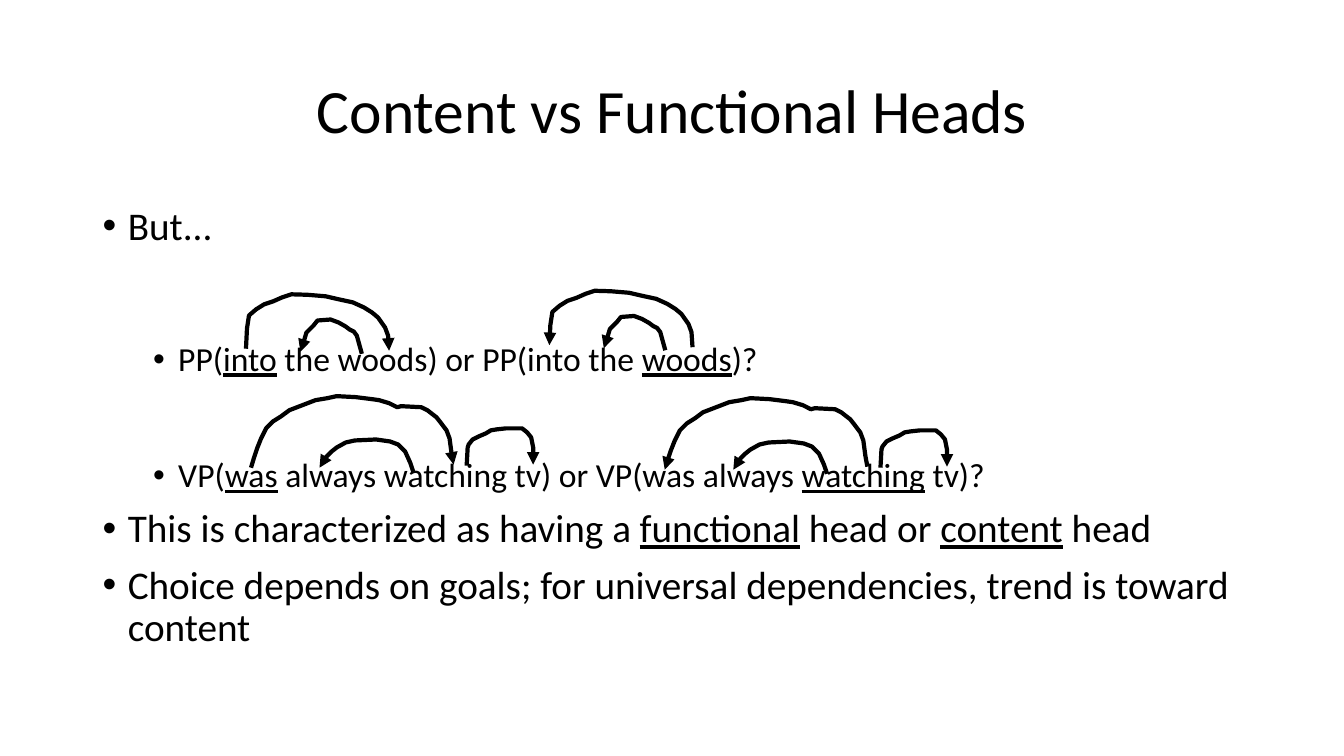
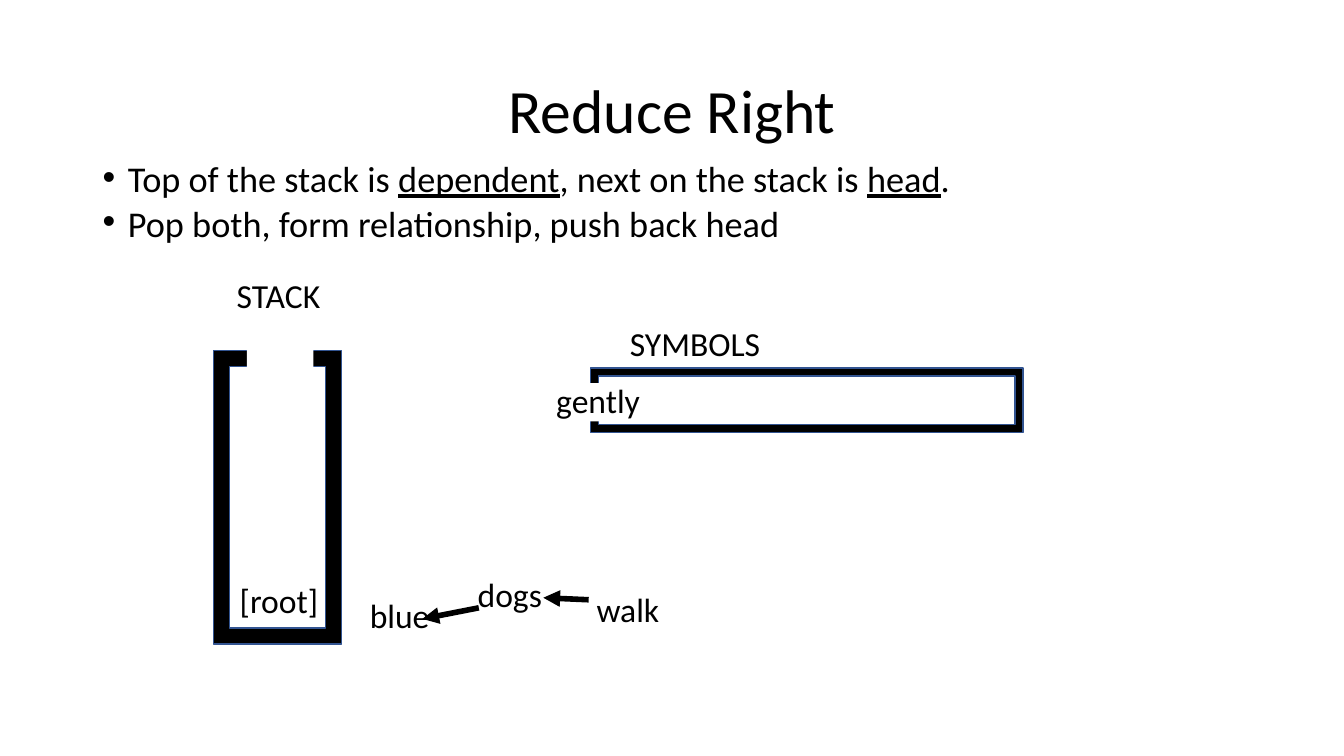
import pptx
import pptx.dml.color
import pptx.enum.shapes
import pptx.enum.text
import pptx.oxml
import pptx.oxml.ns
import pptx.util

SHAPE = pptx.enum.shapes.MSO_SHAPE
ALIGN = pptx.enum.text.PP_ALIGN
ANCHOR = pptx.enum.text.MSO_ANCHOR
FIT = pptx.enum.text.MSO_AUTO_SIZE
NAMESPACE = pptx.oxml.ns.nsdecls("a")

INK, PAPER, EDGE = "000000", "FFFFFF", "325491"

# Arcs above the example phrases, as points on the grid
PP_LONG = [(24.4, 34.6), (24.5, 32.6), (24.7, 31.3), (25.4, 30.7), (26.2, 30.2),
           (27.1, 29.9), (28, 29.5), (28.9, 29.2), (30.5, 29.25), (32.3, 29.4),
           (33.6, 29.7), (35, 30), (36.1, 30.5), (36.9, 31), (37.5, 31.5),
           (38.2, 32.5), (38.5, 33.3), (38.6, 34.8)]
PP_SHORT = [(35.9, 35.1), (35.4, 33.3), (35.1, 32.9), (34.7, 32.7), (34.3, 32.4),
            (33.6, 32), (32.8, 31.7), (31.5, 31.8), (31.1, 32.3), (30.4, 33),
            (30.1, 34), (29.8, 34.9)]
VP_RIGHT = [(46.3, 46.2), (46.4, 44.4), (46.5, 44.1), (46.9, 43.6), (47.5, 43.3),
            (48.2, 43), (48.7, 42.7), (49.3, 42.6), (50.2, 42.5), (51.8, 42.5),
            (52.3, 42.9), (52.7, 43.4), (52.9, 44.4), (52.9, 46.1)]
VP_LONG = [(24.9, 46.4), (25.2, 45.4), (25.5, 44.5), (25.9, 43.5), (26.4, 42.5),
           (27.1, 41.8), (27.9, 41.3), (28.7, 40.7), (30, 40.2), (31.3, 39.7),
           (32.5, 39.5), (33.4, 39.3), (35.3, 39.4), (36.9, 39.6), (37.6, 39.7),
           (38.6, 40), (39.4, 40.4), (39.8, 40.3), (41.8, 40.4), (42.4, 40.7),
           (43.3, 41.4), (43.7, 41.9), (44.3, 42.7), (44.6, 43.5), (44.8, 45),
           (45, 46.1)]
VP_LEFT = [(41, 46.8), (40.7, 45.9), (40.2, 44.8), (39.5, 44.1), (38.7, 43.8),
           (37.3, 43.6), (35.2, 43.7), (34.3, 43.9), (33.4, 44.4), (32.9, 44.8),
           (32.3, 45.4), (31.8, 46), (31.7, 46.4)]


def color(code):
    return pptx.dml.color.RGBColor.from_string(code)


def cells(count):
    """Length of a number of grid cells, each a tenth of an inch."""
    return pptx.util.Inches(count / 10)


def apply(target, values):
    for name, value in values.items():
        setattr(target, name, value)


class Deck:
    """Shared style and the current page; lengths are grid columns and rows."""

    title_place = (9.2, 4, 115, 14.5)
    title_format = {"alignment": ALIGN.CENTER, "line_spacing": 0.9, "space_before": pptx.util.Pt(0)}

    def __init__(self):
        self.file = pptx.Presentation()
        apply(self.file, {"slide_width": cells(133.33), "slide_height": cells(75)})
        self.page = None

    def add_text(self, para, text, size):
        """Fill a paragraph; words between underscores are underlined."""
        for index, part in enumerate(text.split("_")):
            if part:
                span = para.add_run()
                span.text = part
                apply(span.font, {"name": "Calibri", "size": pptx.util.Pt(size), "underline": index % 2 == 1})
                span.font.color.rgb = color(INK)

    def add_page(self, title):
        self.page = self.file.slides.add_slide(self.file.slide_layouts[5])
        box = self.page.shapes.title
        apply(box, dict(zip(("left", "top", "width", "height"), map(cells, self.title_place))))
        apply(box.text_frame, {"vertical_anchor": ANCHOR.MIDDLE, "word_wrap": True, "auto_size": FIT.NONE})
        para = box.text_frame.paragraphs[0]
        apply(para, self.title_format)
        self.add_text(para, title, 44)

    def bullets(self, place, items, line_spacing):
        """Items are (level, size, space before, text)."""
        frame = self.page.shapes.add_textbox(*map(cells, place)).text_frame
        frame.word_wrap = True
        for index, (level, size, before, text) in enumerate(items):
            para = frame.add_paragraph() if index else frame.paragraphs[0]
            apply(para, {"level": level, "line_spacing": line_spacing, "space_before": pptx.util.Pt(before)})
            properties = para._p.get_or_add_pPr()
            properties.set("marL", str(cells(2.5 + 5 * level)))
            properties.set("indent", str(cells(-2.5)))
            for mark in ('buFont {} typeface="Arial"', 'buChar {} char="•"'):
                properties.append(pptx.oxml.parse_xml("<a:" + mark.format(NAMESPACE) + "/>"))
            self.add_text(para, text, size)

    def label(self, place, text):
        frame = self.page.shapes.add_textbox(*map(cells, place)).text_frame
        apply(frame, {"word_wrap": False, "auto_size": FIT.SHAPE_TO_FIT_TEXT})
        self.add_text(frame.paragraphs[0], text, 24)

    def shape(self, kind, place, fill, edge=None):
        box = self.page.shapes.add_shape(kind, *map(cells, place))
        box.shadow.inherit = False
        box.fill.solid()
        box.fill.fore_color.rgb = color(fill)
        if edge:
            self.stroke(box, edge, 1)
        else:
            box.line.fill.background()

    def stroke(self, box, code, width, end=None):
        box.line.color.rgb = color(code)
        box.line.width = pptx.util.Pt(width)
        if end:
            for mark in ("round {}", end + ' {} type="triangle"'):
                box.line._ln.append(pptx.oxml.parse_xml("<a:" + mark.format(NAMESPACE) + "/>"))

    def arc(self, points, shift, end="tailEnd"):
        start, *rest = [(cells(x + shift[0]), cells(y + shift[1])) for x, y in points]
        builder = self.page.shapes.build_freeform(*start)
        builder.add_line_segments(rest, close=False)
        curve = builder.convert_to_shape()
        curve.shadow.inherit = False
        curve.fill.background()
        self.stroke(curve, INK, 3, end)

    def arrow(self, *ends):
        straight = pptx.enum.shapes.MSO_CONNECTOR.STRAIGHT
        line = self.page.shapes.add_connector(straight, *map(cells, ends))
        self.stroke(line, INK, 4, "tailEnd")
        line._element.spPr.append(pptx.oxml.parse_xml(f"<a:effectLst {NAMESPACE}/>"))


def heads_page(deck):
    deck.add_page("Content vs Functional Heads")
    deck.bullets((9.2, 20, 115, 47.6), [
        (0, 28, 0, "But..."),
        (1, 24, 67, "PP(_into_ the woods) or PP(into the _woods_)?"),
        (1, 24, 57, "VP(_was_ always watching tv) or VP(was always _watching_ tv)?"),
        (0, 28, 10, "This is characterized as having a _functional_ head or _content_ head"),
        (0, 28, 10, "Choice depends on goals; for universal dependencies, trend is toward content"),
    ], 0.9)
    # Each phrase has two readings; in the second the long arc is turned round
    for long_arc, short_arcs, shift in ((PP_LONG, [PP_SHORT], (30.1, -0.35)),
                                        (VP_LONG, [VP_RIGHT, VP_LEFT], (41.05, 0.2))):
        for offset, end in (((0, 0), "tailEnd"), (shift, "headEnd")):
            deck.arc(long_arc, offset, end)
            for points in short_arcs:
                deck.arc(points, offset)


def reduce_page(deck):
    deck.add_page("Reduce Right")
    deck.bullets((9.2, 16.2, 115, 9.3), [
        (0, 25.9, 0, "Top of the stack is _dependent_, next on the stack is _head_."),
        (0, 25.9, 10, "Pop both, form relationship, push back head"),
    ], 0.7)
    # Frames, each opened by a white patch
    for frame, patch in (((21.2, 34.8, 12.7, 29.1), (24.5, 32.2, 6.6, 10.9)),
                         ((58.6, 36.5, 42.9, 6.4), (45.3, 38, 15.8, 3.8))):
        deck.shape(SHAPE.FRAME, frame, INK, EDGE)
        deck.shape(SHAPE.RECTANGLE, patch, PAPER)
    # Words on the stack, in the buffer and in the tree
    for text, left, top, width in (("STACK", 22.5, 26.8, 10.4), ("SYMBOLS", 61.5, 31.5, 15.1),
                                   ("gently", 54.2, 37.2, 10.4), ("[root]", 22.8, 57, 9.9),
                                   ("walk", 58.2, 57.9, 8.3), ("blue", 35.7, 58.5, 8),
                                   ("dogs", 46.4, 56.4, 8.5)):
        deck.label((left, top, width, 5), text)
    deck.arrow(58.4, 59.5, 53.9, 59.3)
    deck.arrow(47.5, 60.3, 41.9, 61.4)


def main():
    deck = Deck()
    heads_page(deck)
    reduce_page(deck)
    deck.file.save("out.pptx")


if __name__ == "__main__":
    main()
